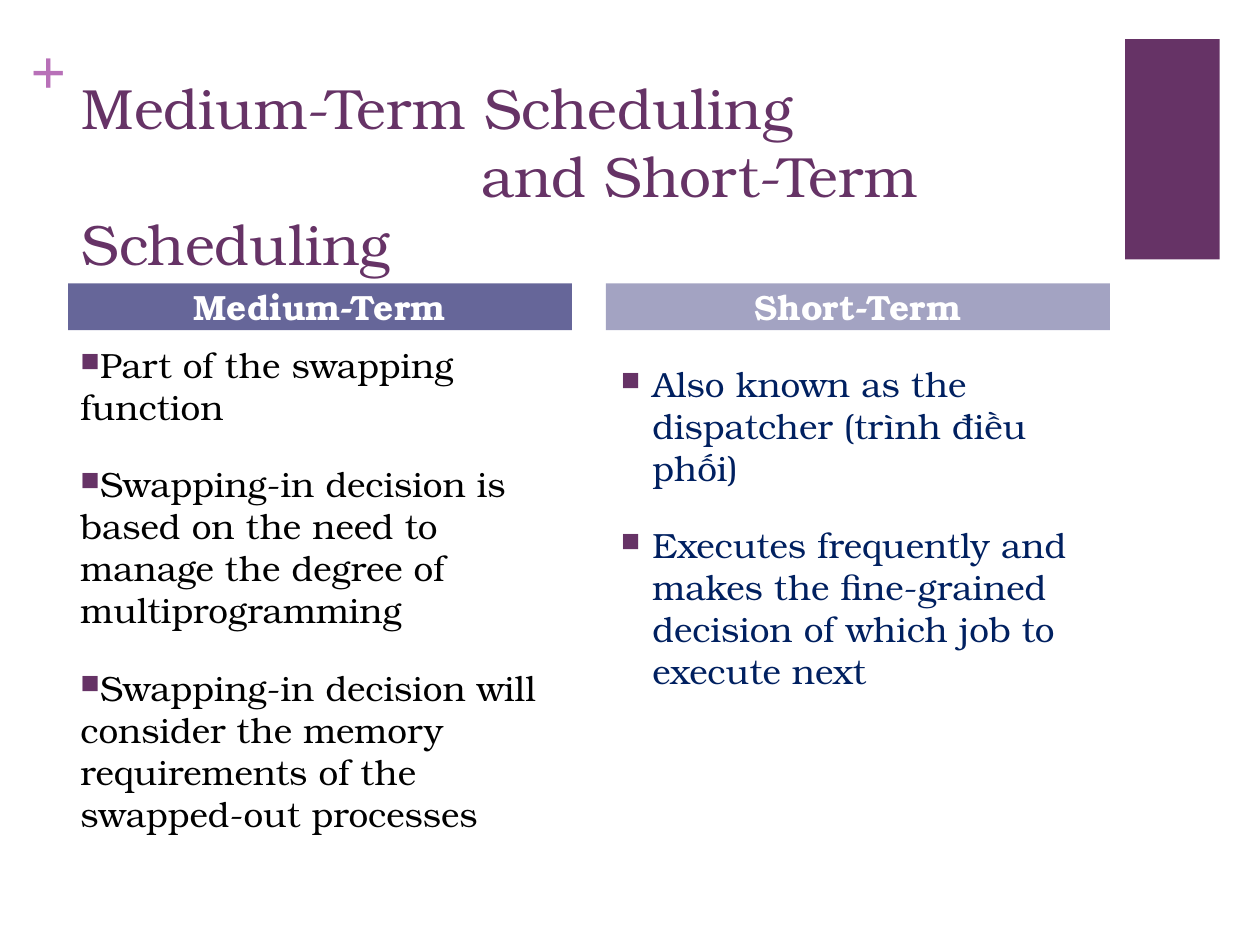
"""Build the slide comparing medium-term and short-term scheduling."""
from dataclasses import dataclass

from lxml import etree
from pptx import Presentation
from pptx.dml.color import RGBColor
from pptx.enum.shapes import MSO_SHAPE
from pptx.enum.text import MSO_ANCHOR, PP_ALIGN
from pptx.oxml.ns import qn
from pptx.util import Inches, Pt

RECT = MSO_SHAPE.RECTANGLE
TOP, MIDDLE = MSO_ANCHOR.TOP, MSO_ANCHOR.MIDDLE
LEFT, CENTER = PP_ALIGN.LEFT, PP_ALIGN.CENTER
FONT = "TeX Gyre Bonum"
COLORS = {
    "plum": "663366", "orchid": "B870B8", "slate": "666699", "lavender": "A3A3C2",
    "navy": "002060", "black": "000000", "white": "FFFFFF",
}
COLUMN_WIDTH = 4
TITLE_INDENT = 3.17
BULLET_HANG = 0.25


@dataclass
class Column:
    heading: str
    fill: str
    heading_left: float
    body_left: float
    body_top: float
    margin: float
    color: str
    points: list[str]


COLUMNS = [
    Column("Medium-Term", "slate", 0.54, 0.54, 2.68, 0, "black", [
        "Part of the swapping function",
        "Swapping-in decision is based on the need to manage the degree of multiprogramming",
        "Swapping-in decision will consider the memory requirements of the swapped-out processes",
    ]),
    Column("Short-Term", "lavender", 4.81, 4.83, 2.83, BULLET_HANG, "navy", [
        "Also known as the dispatcher (trình điều phối)",
        "Executes frequently and makes the fine-grained decision of which job to execute next",
    ]),
]


def rgb(name: str) -> RGBColor:
    return RGBColor.from_string(COLORS[name])


def add_run(p, text: str, size: float, color: str, bold: bool = False, font: str = FONT) -> None:
    r = p.add_run()
    r.text = text
    r.font.size, r.font.bold, r.font.name = Pt(size), bold, font
    r.font.color.rgb = rgb(color)


def set_margins(tf, side: float, vertical: float) -> None:
    tf.margin_left = tf.margin_right = Inches(side)
    tf.margin_top = tf.margin_bottom = Inches(vertical)


def set_indent(p, margin: float, indent: float) -> None:
    pPr = p._p.get_or_add_pPr()
    pPr.set("marL", str(Inches(margin)))
    pPr.set("indent", str(Inches(indent)))


def add_bullet(p) -> None:
    pPr = p._p.get_or_add_pPr()
    color = etree.SubElement(pPr, qn("a:buClr"))
    etree.SubElement(color, qn("a:srgbClr")).set("val", COLORS["plum"])
    etree.SubElement(pPr, qn("a:buSzPct")).set("val", "75000")
    etree.SubElement(pPr, qn("a:buChar")).set("char", "■")


def add_box(slide, left: float, top: float, width: float, height: float, fill: str):
    sp = slide.shapes.add_shape(RECT, Inches(left), Inches(top), Inches(width), Inches(height))
    sp.shadow.inherit = False
    sp.fill.solid()
    sp.fill.fore_color.rgb = rgb(fill)
    sp.line.fill.background()
    return sp


def add_text_box(slide, left: float, top: float, width: float, height: float):
    sp = slide.shapes.add_textbox(Inches(left), Inches(top), Inches(width), Inches(height))
    tf = sp.text_frame
    tf.word_wrap = True
    return tf


def add_title(slide) -> None:
    sp = slide.shapes.title
    sp.left, sp.top, sp.width, sp.height = Inches(0.55), Inches(0.53), Inches(8.26), Inches(1.22)
    tf = sp.text_frame
    tf.word_wrap = True
    tf.vertical_anchor = TOP
    set_margins(tf, 0.1, 0.05)
    lines = [("Medium-Term Scheduling", 0), ("and Short-Term Scheduling", TITLE_INDENT)]
    for i, (text, indent) in enumerate(lines):
        p = tf.add_paragraph() if i else tf.paragraphs[0]
        p.alignment = LEFT
        p.space_before = Pt(0)
        set_indent(p, 0, indent)
        add_run(p, text, 32.4, "plum")


def add_column(slide, column: Column) -> None:
    tf = add_text_box(slide, column.body_left, column.body_top, COLUMN_WIDTH, 4.02)
    for i, point in enumerate(column.points):
        p = tf.add_paragraph() if i else tf.paragraphs[0]
        p.space_before = Pt(20)
        set_indent(p, column.margin, -BULLET_HANG)
        add_bullet(p)
        add_run(p, point, 20, column.color)

    sp = add_box(slide, column.heading_left, 2.25, COLUMN_WIDTH, 0.37, column.fill)
    tf = sp.text_frame
    tf.vertical_anchor = MIDDLE
    set_margins(tf, 0.1, 0)
    p = tf.paragraphs[0]
    p.alignment = CENTER
    add_run(p, column.heading, 20, "white", bold=True)


def main() -> None:
    prs = Presentation()
    prs.slide_width, prs.slide_height = Inches(10), Inches(7.5)
    slide = prs.slides.add_slide(prs.slide_layouts[5])
    add_box(slide, 8.93, 0.31, 0.75, 1.75, "plum")
    tf = add_text_box(slide, 0.24, 0.25, 0.29, 0.61)
    set_margins(tf, 0, 0)
    add_run(tf.paragraphs[0], "+", 36, "orchid", bold=True, font="Times New Roman")
    add_title(slide)
    for column in COLUMNS:
        add_column(slide, column)
    prs.save("out.pptx")


main()
